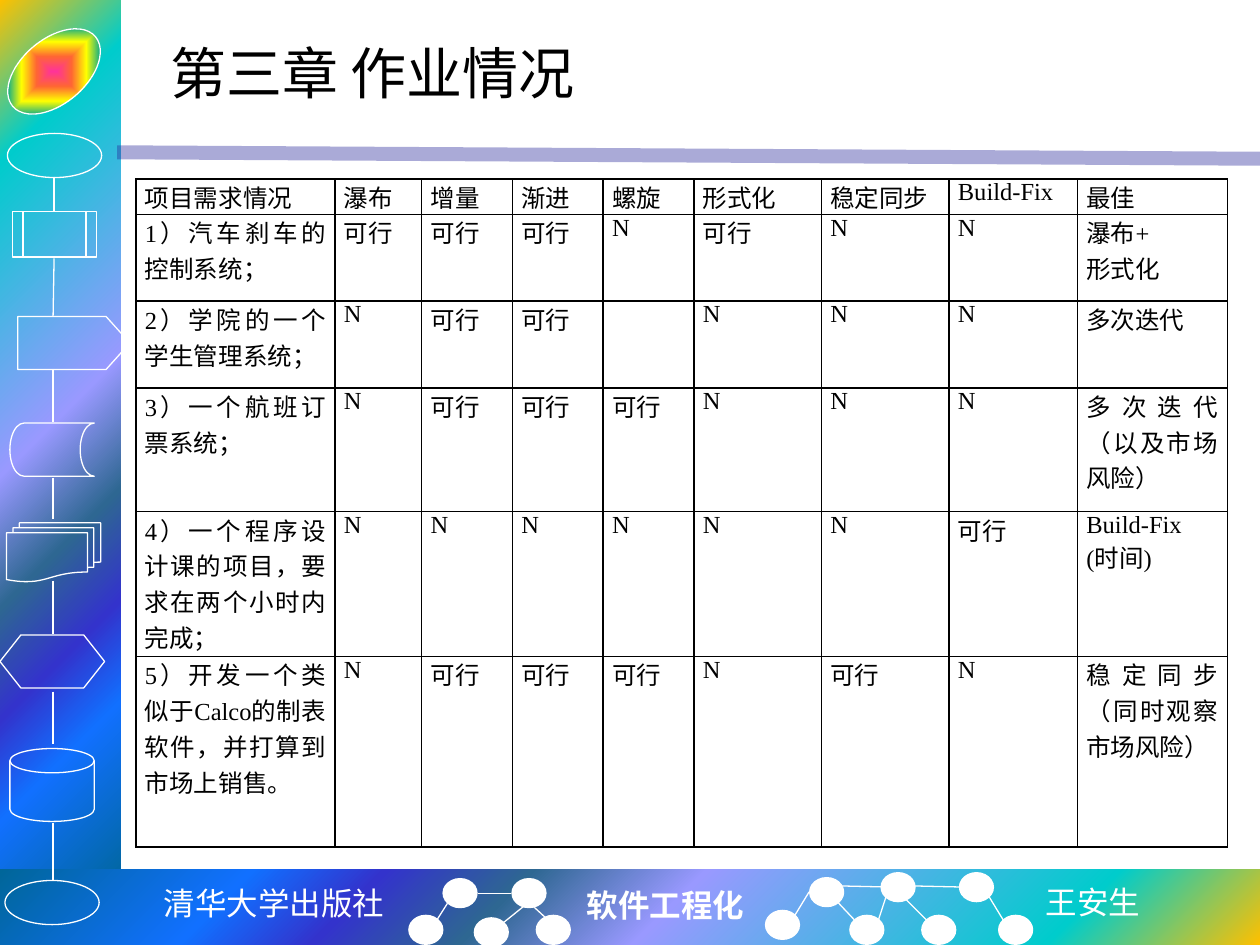
from pptx import Presentation
from pptx.dml.color import RGBColor
from pptx.enum.lang import MSO_LANGUAGE_ID
from pptx.enum.shapes import MSO_CONNECTOR, MSO_SHAPE
from pptx.enum.text import MSO_ANCHOR, MSO_AUTO_SIZE, PP_ALIGN
from pptx.oxml import parse_xml
from pptx.oxml.ns import nsdecls, qn
from pptx.util import Cm, Pt
from lxml.etree import SubElement

WHITE = RGBColor(0xFF, 0xFF, 0xFF)
BLACK = RGBColor(0x00, 0x00, 0x00)
RULE_BLUE = RGBColor(0x26, 0x26, 0x99)
SERIF, SANS, MONO = "Times New Roman", "Noto Sans CJK SC", "DejaVu Sans Mono"

BAND_STOPS = [
    (0, RGBColor(0xFF, 0xC0, 0x00)), (16, RGBColor(0x00, 0xCC, 0xCC)),
    (47, RGBColor(0x99, 0x99, 0xFF)), (60, RGBColor(0x2E, 0x67, 0x92)),
    (71, RGBColor(0x33, 0x33, 0xCC)), (81, RGBColor(0x11, 0x70, 0xFF)),
    (100, RGBColor(0x00, 0x66, 0x99)),
]
BADGE_STOPS = [
    (0, RGBColor(0xFF, 0x33, 0x99)), (25, RGBColor(0xFF, 0x66, 0x33)),
    (50, RGBColor(0xFF, 0xFF, 0x00)), (75, RGBColor(0x01, 0xA7, 0x8F)),
    (100, RGBColor(0x33, 0x66, 0xFF)),
]

FLOW_SYMBOLS = [
    (MSO_SHAPE.OVAL, 0.15, 2.69, 1.9, 0.89),
    (MSO_SHAPE.FLOWCHART_PREDEFINED_PROCESS, 0.25, 4.27, 1.7, 0.91),
    (MSO_SHAPE.PENTAGON, 0.36, 6.38, 2.26, 1.07),
    (MSO_SHAPE.FLOWCHART_STORED_DATA, 0.2, 8.53, 1.7, 1.07),
    (MSO_SHAPE.FLOWCHART_MULTIDOCUMENT, 0.13, 10.54, 1.9, 1.19),
    (MSO_SHAPE.FLOWCHART_PREPARATION, 0, 12.8, 2.11, 1.07),
    (MSO_SHAPE.FLOWCHART_MAGNETIC_DISK, 0.2, 15.09, 1.7, 1.47),
    (MSO_SHAPE.OVAL, 0.1, 17.75, 1.9, 0.89),
]
FLOW_LINKS = [
    (1.09, 3.56, 1.09, 4.27), (1.09, 5.21, 1.07, 6.38), (1.07, 7.44, 1.07, 8.51),
    (1.07, 9.63, 1.07, 10.46), (1.07, 11.71, 1.07, 12.78),
    (1.07, 13.94, 1.07, 14.99), (1.07, 16.59, 1.07, 17.75),
]
TREE_NODES = [
    (8.92, 17.7), (10.31, 17.7), (8.23, 18.44), (9.55, 18.49), (10.8, 18.44),
    (16.31, 17.68), (17.75, 17.58), (19.33, 17.58), (15.42, 18.34),
    (17.12, 18.44), (18.57, 18.44), (20.12, 18.44),
]
TREE_LINKS = [
    (8.81, 18.54, 9.02, 18.21), (10.16, 18.59, 10.57, 18.26),
    (10.31, 18.01, 9.63, 18.01), (11.02, 18.52, 10.77, 18.29),
    (17.22, 18.54, 16.89, 18.19), (18.67, 18.54, 18.16, 18.03),
    (20.22, 18.54, 19.94, 18.08), (17.7, 18.57, 17.86, 18.08),
    (18.44, 17.86, 19.33, 17.88), (16.03, 18.44, 16.31, 17.98),
    (16.97, 17.86, 17.86, 17.88),
]

COLUMN_WIDTHS = [4.01, 1.75, 1.83, 1.83, 1.83, 2.57, 2.57, 2.59, 3.02]
ROW_HEIGHTS = [0.71, 1.75, 1.75, 2.49, 2.92, 3.84]
YES, NO = "可行", "N"
ROWS = [
    ["项目需求情况", "瀑布", "增量", "渐进", "螺旋", "形式化", "稳定同步", "Build-Fix", "最佳"],
    ["1）汽车刹车的控制系统；", YES, YES, YES, NO, YES, NO, NO, "瀑布+\n形式化"],
    ["2）学院的一个学生管理系统；", NO, YES, YES, "", NO, NO, NO, "多次迭代"],
    ["3）一个航班订票系统；", NO, YES, YES, YES, NO, NO, NO, "多次迭代（以及市场风险）"],
    ["4）一个程序设计课的项目，要求在两个小时内完成；", NO, NO, NO, NO, NO, NO, YES,
     "Build-Fix\n(时间)"],
    ["5）开发一个类似于Calco的制表软件，并打算到市场上销售。", NO, YES, YES, YES, NO, YES, NO,
     "稳定同步（同时观察市场风险）"],
]


class SlideBuilder:
    """Holds the style and the current slide, and adds each kind of element."""

    thin = Pt(0.75)

    def __init__(self, slide):
        self.slide = slide

    def shape(self, kind, left, top, width, height, fill=None, line=None):
        shape = self.slide.shapes.add_shape(kind, Cm(left), Cm(top), Cm(width), Cm(height))
        shape.shadow.inherit = False
        if fill is None:
            shape.fill.background()
        else:
            shape.fill.solid()
            shape.fill.fore_color.rgb = fill
        if line is None:
            shape.line.fill.background()
        else:
            shape.line.color.rgb = line
            shape.line.width = self.thin
        return shape

    def gradient(self, shape, stops, kind, focus):
        shape.fill.gradient()
        old = shape._element.spPr.find(qn("a:gradFill"))
        marks = "".join(
            f'<a:gs pos="{position * 1000}"><a:srgbClr val="{color}"/></a:gs>'
            for position, color in stops
        )
        edges = " ".join(f'{side}="{value * 1000}"' for side, value in zip("ltrb", focus))
        new = parse_xml(
            f'<a:gradFill {nsdecls("a")} rotWithShape="1"><a:gsLst>{marks}</a:gsLst>'
            f'<a:path path="{kind}"><a:fillToRect {edges}/></a:path></a:gradFill>'
        )
        old.getparent().replace(old, new)

    def line(self, start_x, start_y, end_x, end_y, color=WHITE, width=thin, opacity=100):
        connector = self.slide.shapes.add_connector(
            MSO_CONNECTOR.STRAIGHT, Cm(start_x), Cm(start_y), Cm(end_x), Cm(end_y))
        connector.line.color.rgb = color
        connector.line.width = width
        properties = connector._element.spPr
        if opacity < 100:
            color_element = next(properties.iter(qn("a:srgbClr")))
            SubElement(color_element, qn("a:alpha"), val=str(opacity * 1000))
        SubElement(properties, qn("a:effectLst"))

    def run(self, paragraph, text, size, color=BLACK, font=SERIF, bold=False):
        run = paragraph.add_run()
        run.text = text
        run.font.size = Pt(size)
        run.font.name = font
        run.font.bold = bold
        run.font.color.rgb = color
        run.font.language_id = MSO_LANGUAGE_ID.SIMPLIFIED_CHINESE

    def label(self, text, left, top, width, height, size=18, color=WHITE, font=SERIF,
              bold=False, align=PP_ALIGN.LEFT):
        box = self.slide.shapes.add_textbox(Cm(left), Cm(top), Cm(width), Cm(height))
        frame = box.text_frame
        frame.word_wrap = False
        frame.auto_size = MSO_AUTO_SIZE.SHAPE_TO_FIT_TEXT
        frame.paragraphs[0].alignment = align
        self.run(frame.paragraphs[0], text, size, color, font, bold)
        return frame

    def title(self, text, left, top, width, height):
        frame = self.label(text, left, top, width, height, size=32, color=BLACK)
        frame.auto_size = MSO_AUTO_SIZE.NONE
        frame.word_wrap = True
        frame.vertical_anchor = MSO_ANCHOR.MIDDLE

    def cell(self, cell, text):
        cell.margin_left = cell.margin_right = Cm(0.18)
        cell.margin_top = cell.margin_bottom = Cm(0)
        properties = cell._tc.get_or_add_tcPr()
        for side in ("lnL", "lnR", "lnT", "lnB"):
            properties.append(parse_xml(
                f'<a:{side} {nsdecls("a")} w="{Pt(1)}"><a:solidFill>'
                f'<a:srgbClr val="{BLACK}"/></a:solidFill></a:{side}>'))
        cell.fill.background()
        frame = cell.text_frame
        for index, words in enumerate(text.split("\n")):
            paragraph = frame.add_paragraph() if index else frame.paragraphs[0]
            paragraph.alignment = PP_ALIGN.JUSTIFY
            if words:
                self.run(paragraph, words, 14)

    def table(self, left, top, rows, widths, heights):
        table = self.slide.shapes.add_table(
            len(rows), len(widths), Cm(left), Cm(top), Cm(sum(widths)), Cm(sum(heights))).table
        table.first_row = table.horz_banding = False
        for column, width in zip(table.columns, widths):
            column.width = Cm(width)
        for row, height, texts in zip(table.rows, heights, rows):
            row.height = Cm(height)
            for cell, text in zip(row.cells, texts):
                self.cell(cell, text)


def main():
    presentation = Presentation()
    presentation.slide_width, presentation.slide_height = Cm(25.4), Cm(19.05)
    builder = SlideBuilder(presentation.slides.add_slide(presentation.slide_layouts[6]))

    side_band = builder.shape(MSO_SHAPE.RECTANGLE, 0, 0, 2.44, 18.01)
    builder.gradient(side_band, BAND_STOPS, "circle", (0, 0, 100, 100))
    footer_band = builder.shape(MSO_SHAPE.RECTANGLE, 0, 17.52, 25.4, 1.53)
    builder.gradient(footer_band, BAND_STOPS, "circle", (100, 100, 0, 0))
    builder.line(2.36, 3.07, 25.4, 3.2, RULE_BLUE, Pt(8), 39)

    badge = builder.shape(MSO_SHAPE.OVAL, 0, 0.79, 2.18, 1.3, line=WHITE)
    builder.gradient(badge, BADGE_STOPS, "shape", (50, 50, 50, 50))
    badge.rotation = -40

    for symbol in FLOW_SYMBOLS:
        shape = builder.shape(*symbol, line=WHITE)
        if symbol[0] == MSO_SHAPE.PENTAGON:
            shape.adjustments[0] = 0.45
    for left, top in TREE_NODES:
        builder.shape(MSO_SHAPE.OVAL, left, top, 0.71, 0.61, fill=WHITE)
    for link in FLOW_LINKS + TREE_LINKS:
        builder.line(*link)

    builder.label("清华大学出版社", 3.02, 17.7, 5, 1.02, font=MONO, align=PP_ALIGN.CENTER)
    builder.label("软件工程化", 11.58, 17.73, 3.71, 1.02, bold=True)
    builder.label("王安生", 20.83, 17.68, 2.44, 1.02, font=SANS)
    builder.title("第三章 作业情况", 3.18, 0.43, 21.59, 2.06)
    builder.table(2.74, 3.61, ROWS, COLUMN_WIDTHS, ROW_HEIGHTS)
    presentation.save("out.pptx")


if __name__ == "__main__":
    main()
